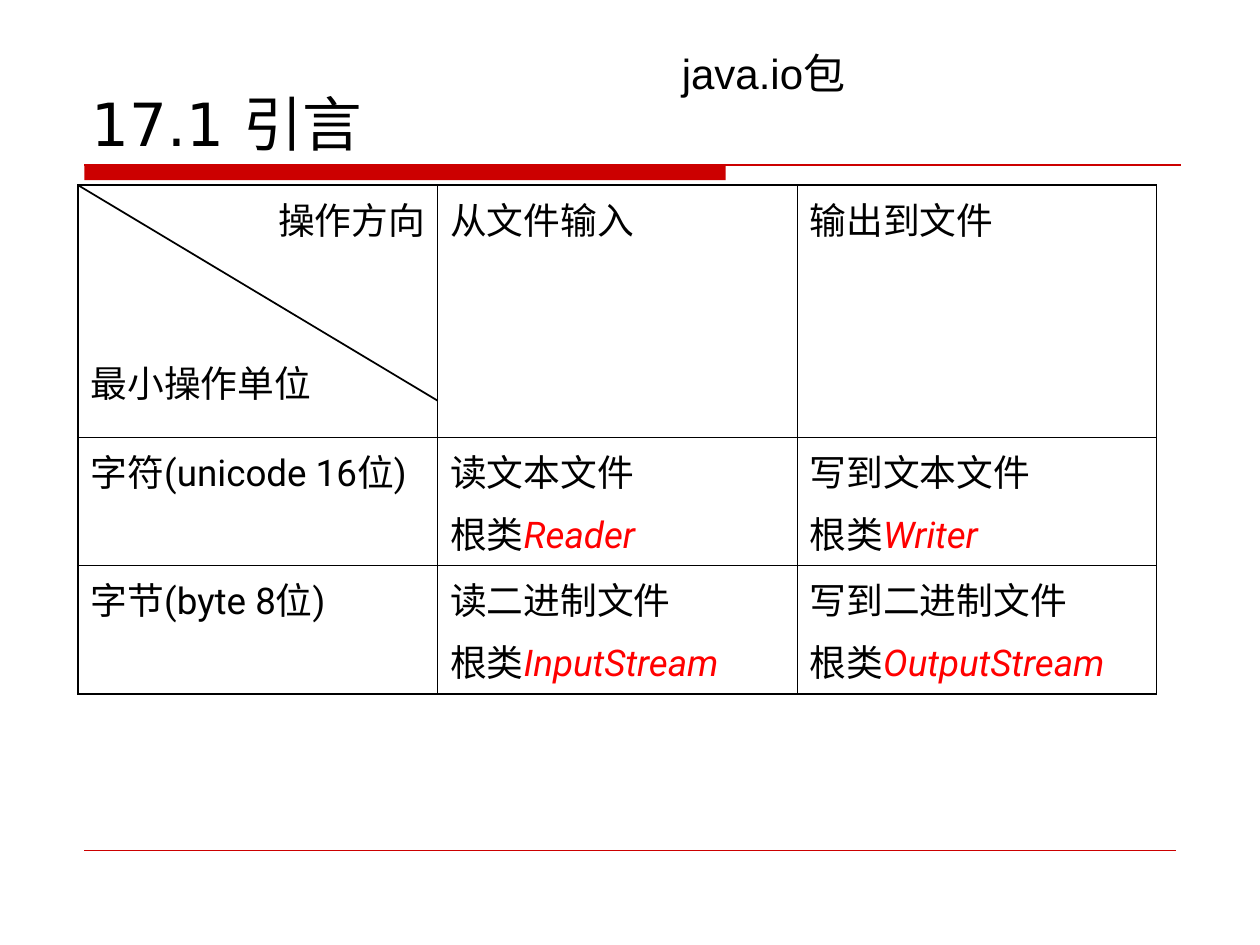
"""Build the java.io overview slide with its table of root classes."""
from lxml.etree import SubElement
from pptx import Presentation
from pptx.dml.color import RGBColor
from pptx.enum.shapes import MSO_CONNECTOR, MSO_SHAPE
from pptx.enum.text import MSO_ANCHOR, PP_ALIGN
from pptx.oxml.ns import qn
from pptx.util import Inches, Pt

BLACK = RGBColor(0, 0, 0)
RED = RGBColor(0xFF, 0, 0)
CRIMSON = RGBColor(0xCC, 0, 0)

TITLE = "17.1 引言"
PACKAGE = "java.io包"
ROWS = [
    [[["操作方向"], ["最小操作单位"]], [["从文件输入"]], [["输出到文件"]]],
    [[["字符(unicode 16位)"]],
     [["读文本文件"], ["根类", "Reader"]],
     [["写到文本文件"], ["根类", "Writer"]]],
    [[["字节(byte 8位)"]],
     [["读二进制文件"], ["根类", "InputStream"]],
     [["写到二进制文件"], ["根类", "OutputStream"]]],
]
ROW_HEIGHTS = [2, 1.02, 1.02]
TABLE_LEFT, TABLE_TOP, TABLE_WIDTH = 0.62, 1.47, 8.56
COLUMN_WIDTH = TABLE_WIDTH / len(ROWS[0])
RULE_LEFT, RULE_TOP, RULE_RIGHT = 0.67, 1.31, 9.37
BAR_WIDTH, BAR_HEIGHT = 5.09, 0.12
OUTER, INNER = 1.08, 0.45


def add_span(para, text, font, size, color=BLACK, italic=False):
    span = para.add_run()
    span.text = text
    span.font.name = font
    span.font.size = Pt(size)
    span.font.italic = italic
    span.font.color.rgb = color


def add_rule(page, start, end, color, width):
    rule = page.shapes.add_connector(
        MSO_CONNECTOR.STRAIGHT, *(Inches(value) for value in (*start, *end)))
    rule.line.color.rgb = color
    rule.line.width = Pt(width)
    SubElement(rule._element.spPr, qn("a:effectLst"))


def add_title_bar(page):
    bar = page.shapes.add_shape(
        MSO_SHAPE.RECTANGLE, Inches(RULE_LEFT), Inches(RULE_TOP),
        Inches(BAR_WIDTH), Inches(BAR_HEIGHT))
    bar.shadow.inherit = False
    bar.fill.solid()
    bar.fill.fore_color.rgb = CRIMSON
    bar.line.fill.background()
    add_rule(page, (RULE_LEFT, RULE_TOP), (RULE_RIGHT, RULE_TOP), CRIMSON, 0.75)


def set_borders(cell, widths):
    properties = cell._tc.get_or_add_tcPr()
    for side, width in zip("LRTB", widths):
        line = SubElement(properties, qn(f"a:ln{side}"), w=str(Pt(width)))
        fill = SubElement(line, qn("a:solidFill"))
        SubElement(fill, qn("a:srgbClr"), val=str(BLACK))


def fill_cell(cell, paragraphs, gap):
    for index, spans in enumerate(paragraphs):
        para = cell.text_frame.paragraphs[0] if index == 0 else cell.text_frame.add_paragraph()
        if index:
            para.space_before = Pt(gap)
        label, *class_names = spans
        add_span(para, label, "Roboto", 21)
        for name in class_names:
            add_span(para, name, "Roboto", 21, RED, True)


def add_class_table(page):
    count = len(ROWS[0])
    table = page.shapes.add_table(
        len(ROWS), count, Inches(TABLE_LEFT), Inches(TABLE_TOP),
        Inches(TABLE_WIDTH), Inches(sum(ROW_HEIGHTS))).table
    table.first_row = table.horz_banding = False
    for column in table.columns:
        column.width = Inches(COLUMN_WIDTH)
    for r, (cells, height) in enumerate(zip(ROWS, ROW_HEIGHTS)):
        table.rows[r].height = Inches(height)
        for c, paragraphs in enumerate(cells):
            cell = table.cell(r, c)
            edges = (c == 0, c == count - 1, r == 0, r == len(ROWS) - 1)
            set_borders(cell, [OUTER if edge else INNER for edge in edges])
            cell.fill.background()
            fill_cell(cell, paragraphs, 63 if r == c == 0 else 5.2)
    table.cell(0, 0).text_frame.paragraphs[0].alignment = PP_ALIGN.RIGHT


def main():
    deck = Presentation()
    deck.slide_width, deck.slide_height = Inches(10), Inches(7.5)
    page = deck.slides.add_slide(deck.slide_layouts[5])

    add_title_bar(page)
    add_rule(page, (RULE_LEFT, 6.75), (9.33, 6.75), CRIMSON, 0.25)

    title = page.shapes.title
    title.left, title.top, title.width, title.height = (
        Inches(value) for value in (0.63, 0.33, 8.75, 0.98))
    title.text_frame.vertical_anchor = MSO_ANCHOR.BOTTOM
    para = title.text_frame.paragraphs[0]
    para.alignment = PP_ALIGN.LEFT
    add_span(para, TITLE, "DejaVu Sans", 34)

    add_class_table(page)

    box = page.shapes.add_textbox(Inches(4.61), Inches(0.33), Inches(2.9), Inches(0.5))
    box.text_frame.word_wrap = True
    para = box.text_frame.paragraphs[0]
    para.alignment = PP_ALIGN.CENTER
    add_span(para, PACKAGE, "Arial", 24)

    add_rule(page, (TABLE_LEFT, TABLE_TOP), (TABLE_LEFT + COLUMN_WIDTH, 3.18), BLACK, 1)
    deck.save("out.pptx")


if __name__ == "__main__":
    main()
